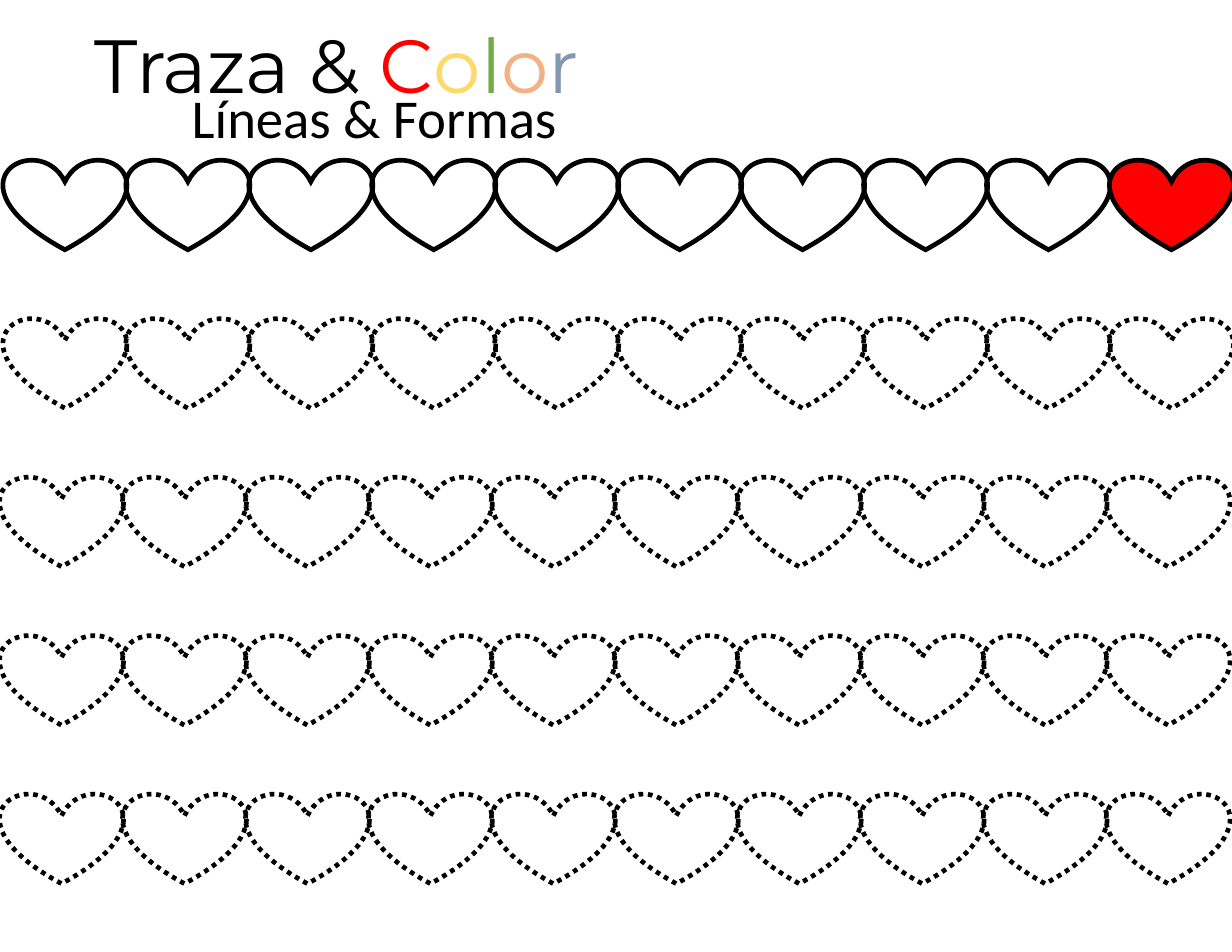
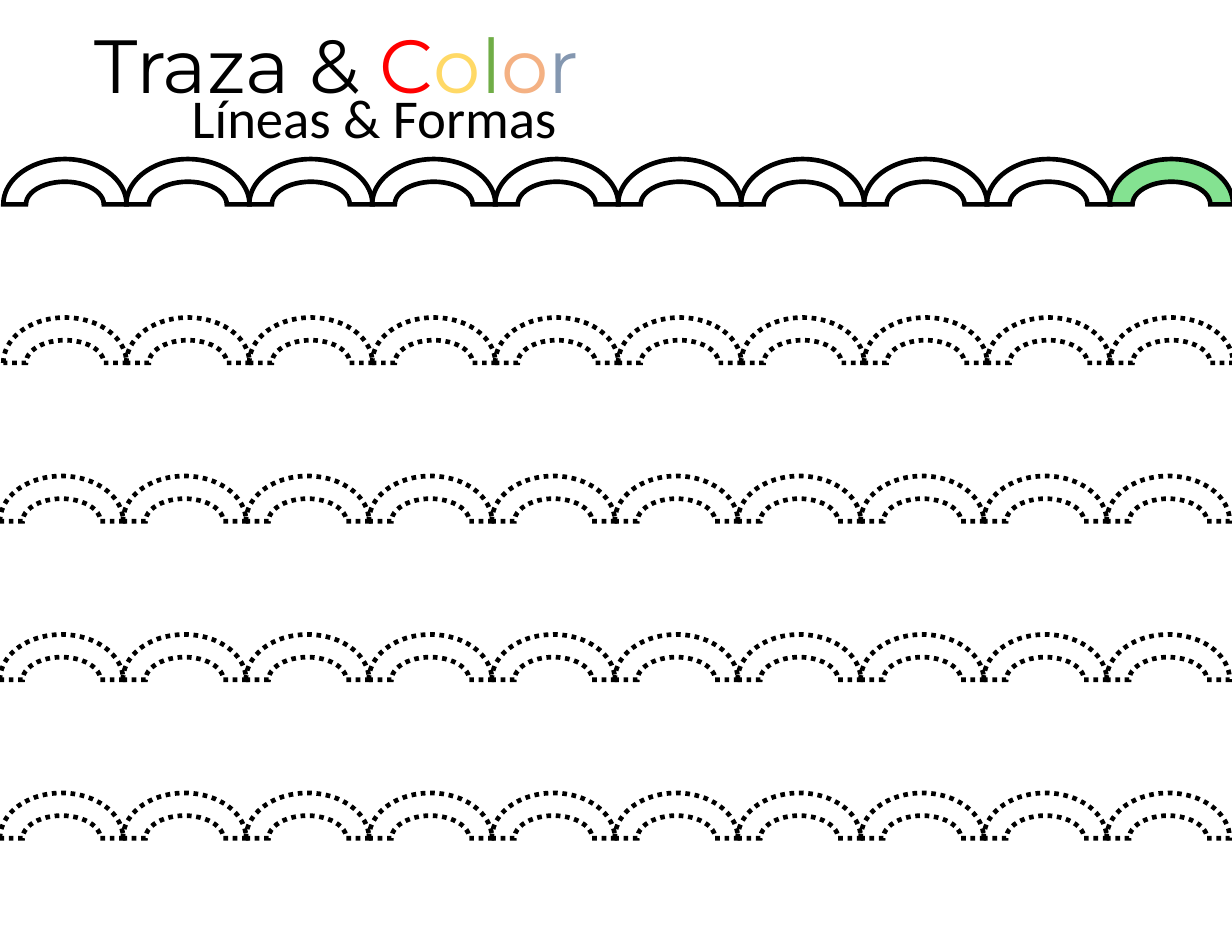
from dataclasses import dataclass

from lxml import etree
from pptx import Presentation
from pptx.dml.color import RGBColor
from pptx.enum import dml, shapes, text
from pptx.oxml import ns
from pptx.util import Inches, Pt


@dataclass(frozen=True)
class Theme:
    ink: str = "000000"
    red: str = "FF0000"
    yellow: str = "FFD966"
    green: str = "70AD47"
    orange: str = "F4B183"
    blue: str = "8497B0"
    mint: str = "84E291"
    title_font: str = "Montserrat"
    title_size: float = 48.4
    subtitle_font: str = "Calibri"
    subtitle_size: float = 35.2
    outline: float = 3


THEME = Theme()
TITLE_RUNS = [("Traza & ", THEME.ink), ("C", THEME.red), ("o", THEME.yellow),
              ("l", THEME.green), ("o", THEME.orange), ("r", THEME.blue)]
SUBTITLE_RUNS = [("Líneas & Formas", THEME.ink)]

TITLE_BOX = (0.74, 0.11, 5.36, 0.92)
SUBTITLE_BOX = (0.78, 0.7, 5.12, 0.69)
COLUMNS = 10
FIGURE_SIZE = (1.1, 0.81)
COLUMN_STEP = 9.88 / (COLUMNS - 1)
FIRST_ROW_TOP = 1.42
ROW_STEP = 1.415
ROW_LEFTS = [0.03, 0.03, 0, 0, 0]


def write_text(shape, runs, *, font, size, align):
    """Fill the shape with one paragraph of (words, colour) runs."""
    frame = shape.text_frame
    frame.word_wrap = True
    frame.auto_size = text.MSO_AUTO_SIZE.SHAPE_TO_FIT_TEXT
    frame.vertical_anchor = text.MSO_ANCHOR.TOP
    paragraph = frame.paragraphs[0]
    paragraph.alignment = align
    for words, colour in runs:
        run = paragraph.add_run()
        run.text = words
        run.font.name = font
        run.font.size = Pt(size)
        run.font.color.rgb = RGBColor.from_string(colour)


def add_heading(slide, title_box, subtitle_box):
    title = slide.shapes.title
    title.left, title.top, title.width, title.height = map(Inches, title_box)
    write_text(title, TITLE_RUNS, font=THEME.title_font,
               size=THEME.title_size, align=text.PP_ALIGN.LEFT)
    subtitle = slide.shapes.add_textbox(*map(Inches, subtitle_box))
    write_text(subtitle, SUBTITLE_RUNS, font=THEME.subtitle_font,
               size=THEME.subtitle_size, align=text.PP_ALIGN.CENTER)


def add_figure(group, kind, left, top, *, fill=None, dotted=False):
    figure = group.shapes.add_shape(
        kind, Inches(left), Inches(top), *map(Inches, FIGURE_SIZE))
    figure.shadow.inherit = False
    if fill:
        figure.fill.solid()
        figure.fill.fore_color.rgb = RGBColor.from_string(fill)
    else:
        figure.fill.background()
    line = figure.line
    line.color.rgb = RGBColor.from_string(THEME.ink)
    line.width = Pt(THEME.outline)
    if dotted:
        line.dash_style = dml.MSO_LINE.ROUND_DOT
    outline = figure.element.spPr.find(ns.qn("a:ln"))
    etree.SubElement(outline, ns.qn("a:miter"), lim="800000")


def add_row(slide, kind, left, top, *, last_fill=None, dotted=False):
    group = slide.shapes.add_group_shape()
    for column in range(COLUMNS):
        fill = last_fill if column == COLUMNS - 1 else None
        add_figure(group, kind, left + column * COLUMN_STEP, top,
                   fill=fill, dotted=dotted)


def add_worksheet(presentation, kind, sample_fill):
    """Add a slide with one solid sample row above dotted rows to trace."""
    slide = presentation.slides.add_slide(presentation.slide_layouts[5])
    for row, left in enumerate(ROW_LEFTS):
        is_sample = row == 0
        add_row(slide, kind, left, FIRST_ROW_TOP + row * ROW_STEP,
                last_fill=sample_fill if is_sample else None,
                dotted=not is_sample)
    add_heading(slide, TITLE_BOX, SUBTITLE_BOX)


def main():
    presentation = Presentation()
    presentation.slide_width = Inches(11)
    presentation.slide_height = Inches(8.5)
    add_worksheet(presentation, shapes.MSO_SHAPE.HEART, THEME.red)
    add_worksheet(presentation, shapes.MSO_SHAPE.BLOCK_ARC, THEME.mint)
    presentation.save("out.pptx")


if __name__ == "__main__":
    main()
